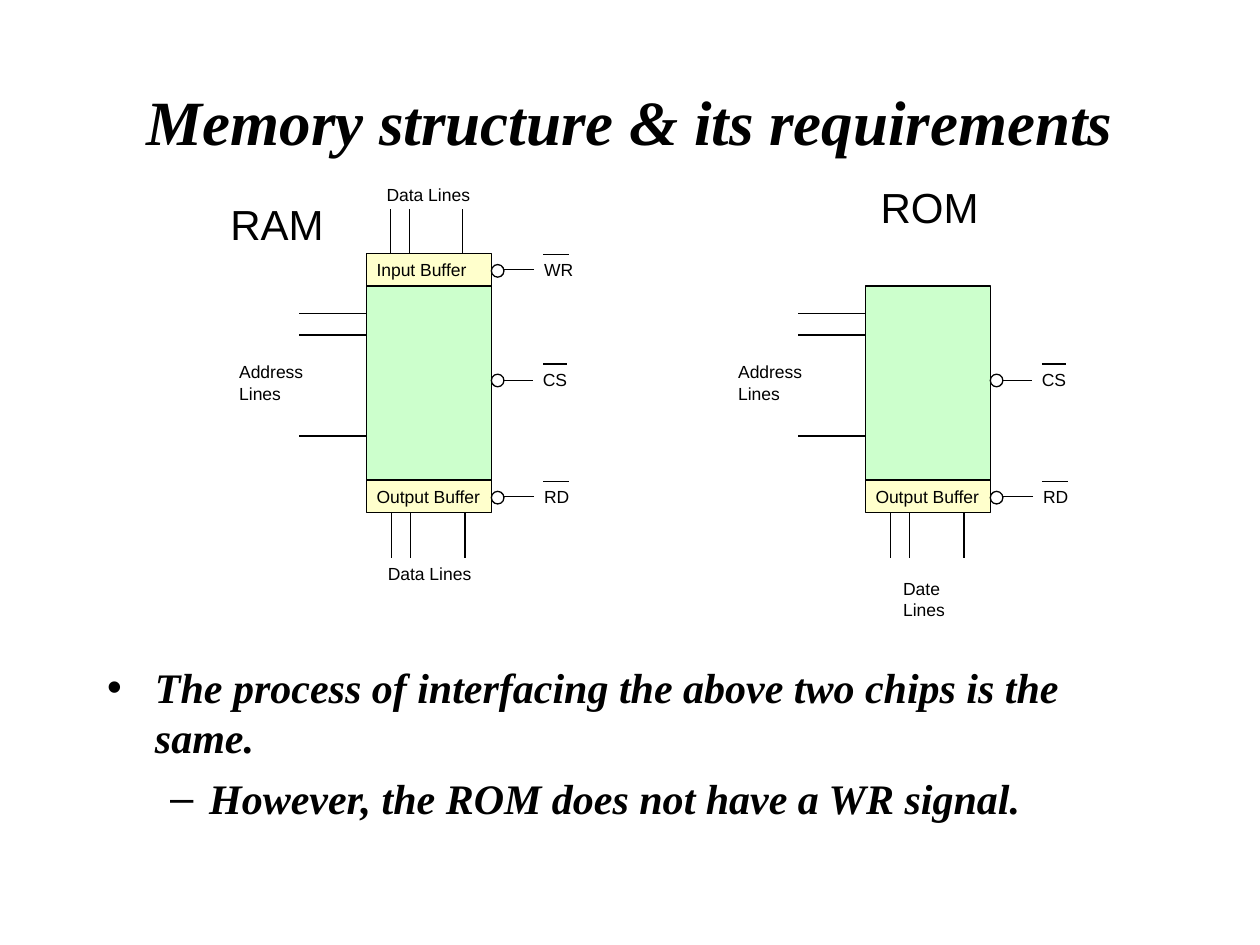
"""Build a slide that compares the pins of a RAM chip and a ROM chip."""
from dataclasses import dataclass

from lxml.etree import SubElement as Sub
from pptx import Presentation as Deck
from pptx.dml.color import RGBColor as Color
from pptx.enum.shapes import MSO_CONNECTOR as Link, MSO_SHAPE as Kind
from pptx.enum.text import MSO_ANCHOR as Anchor, MSO_AUTO_SIZE as Fit, PP_ALIGN as Align
from pptx.oxml.ns import qn
from pptx.util import Inches, Pt


@dataclass(frozen=True)
class Theme:
    ink: str = "000000"
    core: str = "CCFFCC"
    buffer: str = "FFFFCC"
    serif: str = "Times New Roman"
    sans: str = "Arial"
    title: int = 36
    body: int = 24
    name: int = 24
    label: int = 10
    line: float = 0.75


THEME = Theme()
TITLE = "Memory structure & its requirements"
POINTS = [
    ("The process of interfacing the above two chips is the same.", 0, "•", 0.38, 0.38),
    ("However, the ROM does not have a WR signal.", 1, "–", 0.81, 0.31),
]
WIDE, CORE, BUF = 0.99, 1.55, 0.26
TOP, LOW = 2.27, 3.81
ADDRESS = [2.49, 2.66, 3.46]
RD = ("RD", 3.81, 3.94, 1.31, 0.40, 0.21)
CS = ("CS", 2.88, 3.02, 1.30, 0.39, 0.19)
WR = ("WR", 2.01, 2.14, 1.31, 0.43, 0.21)
OUT = ("Output Buffer", LOW, 1.02)
IN = ("Input Buffer", TOP - BUF, 0.91)
CHIPS = [
    dict(left=6.87, name=("ROM", 0.02, 1.39, 0.98, 0.5), buffers=[OUT], signals=[CS, RD],
         data=[(4.07, 0.2, 0.35, 0.78)],
         labels=[("Date\nLines", 0.2, 4.54, 0.53, 0.44)]),
    dict(left=2.91, name=("RAM", -1.18, 1.53, 0.94, 0.5), buffers=[OUT, IN],
         signals=[CS, RD, WR],
         data=[(4.07, 0.2, 0.35, 0.78), (1.66, 0.19, 0.34, 0.76)],
         labels=[("Data Lines", 0.07, 4.42, 0.86, 0.27),
                 ("Data Lines", 0.06, 1.41, 0.86, 0.27)]),
]


def write(frame, text, size=THEME.label, font=THEME.sans, bold=False, align=Align.LEFT):
    frame.text = text
    for para in frame.paragraphs:
        para.alignment = align
        for run in para.runs:
            run.font.size, run.font.name = Pt(size), font
            run.font.bold = run.font.italic = bold
            run.font.color.rgb = Color.from_string(THEME.ink)


def place(shape, *box):
    shape.left, shape.top, shape.width, shape.height = map(Inches, box)


def label(group, text, *box, size=THEME.label):
    frame = group.shapes.add_textbox(*map(Inches, box)).text_frame
    frame.word_wrap = False
    frame.auto_size = Fit.SHAPE_TO_FIT_TEXT
    write(frame, text, size=size)


def block(group, kind, *box, fill=None):
    shape = group.shapes.add_shape(kind, *map(Inches, box))
    shape.shadow.inherit = False
    if fill:
        shape.fill.solid()
        shape.fill.fore_color.rgb = Color.from_string(fill)
    else:
        shape.fill.background()
    shape.line.color.rgb = Color.from_string(THEME.ink)
    shape.line.width = Pt(THEME.line)


def wire(group, *ends):
    line = group.shapes.add_connector(Link.STRAIGHT, *map(Inches, ends))
    line.line.color.rgb = Color.from_string(THEME.ink)
    line.line.width = Pt(THEME.line)
    Sub(line._element.spPr, qn("a:effectLst"))


def draw(slide, left, name, buffers, signals, data, labels):
    group = slide.shapes.add_group_shape()
    block(group, Kind.RECTANGLE, left, TOP, WIDE, CORE, fill=THEME.core)
    for text, top, width in buffers:
        block(group, Kind.RECTANGLE, left, top, WIDE, BUF, fill=THEME.buffer)
        label(group, text, left - 0.02, top, width, 0.27)
    for y in ADDRESS:
        wire(group, left, y, left - 0.54, y)
    for top, *pins in data:
        for pin in pins:
            wire(group, left + pin, top, left + pin, top + 0.36)
    for text, top, y, shift, width, bar in signals:
        block(group, Kind.OVAL, left + WIDE, top + 0.09, 0.1, 0.1)
        wire(group, left + shift + 0.02, y, left + WIDE + 0.1, y)
        label(group, text, left + shift, top, width, 0.27)
        wire(group, left + 1.4, top + 0.01, left + 1.4 + bar, top + 0.01)
    for text, shift, *box in [("Address\nLines", -1.11, 2.82, 0.71, 0.44)] + labels:
        label(group, text, left + shift, *box)
    text, shift, *box = name
    label(group, text, left + shift, *box, size=THEME.name)


def main():
    deck = Deck()
    deck.slide_width, deck.slide_height = Inches(10), Inches(7.5)
    slide = deck.slides.add_slide(deck.slide_layouts[1])
    title, body = slide.placeholders
    place(title, 0.75, 0.33, 8.5, 1.25)
    title.text_frame.vertical_anchor = Anchor.MIDDLE
    title.text_frame.auto_size = Fit.NONE
    write(title.text_frame, TITLE, size=THEME.title, font=THEME.serif, bold=True,
          align=Align.CENTER)
    place(body, 0.75, 5.2, 8.5, 1.55)
    body.text_frame.auto_size = Fit.NONE
    write(body.text_frame, "\n".join(point[0] for point in POINTS),
          size=THEME.body, font=THEME.serif, bold=True)
    for para, (_, level, mark, margin, hang) in zip(body.text_frame.paragraphs, POINTS):
        para.level = level
        para.space_before = Pt(6)
        props = para._p.get_or_add_pPr()
        props.set("marL", str(Inches(margin)))
        props.set("indent", str(-Inches(hang)))
        Sub(props, qn("a:buChar"), char=mark)
    for chip in CHIPS:
        draw(slide, **chip)
    deck.save("out.pptx")


if __name__ == "__main__":
    main()
